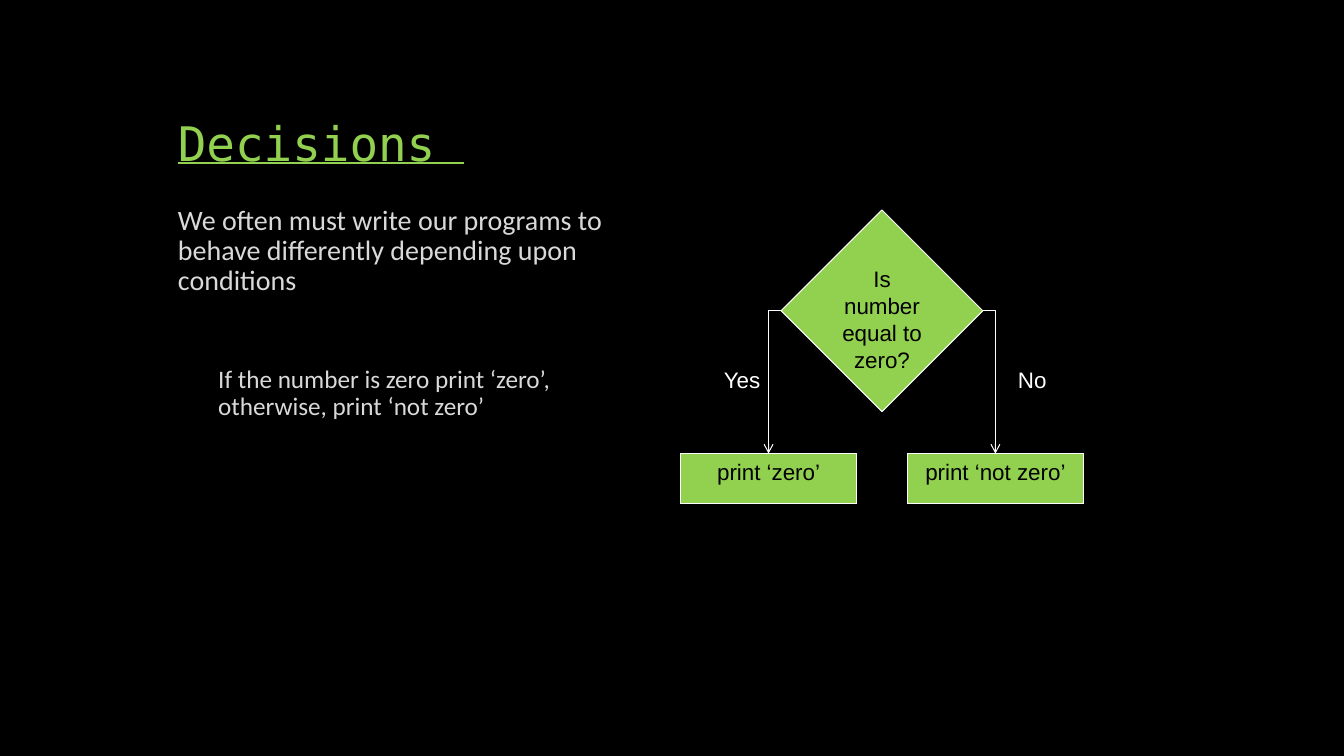
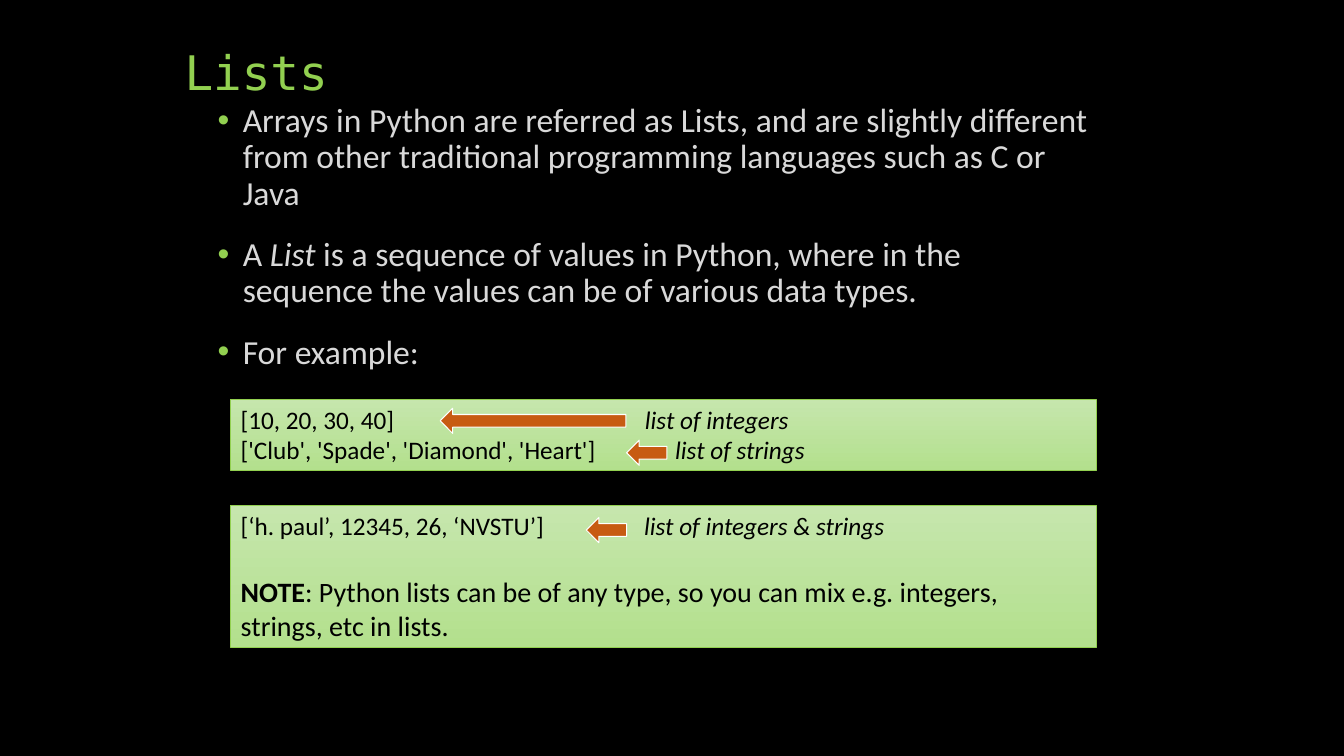
from dataclasses import dataclass

from lxml import etree
from pptx import Presentation
from pptx.dml.color import RGBColor
from pptx.enum.shapes import MSO_CONNECTOR, MSO_SHAPE
from pptx.enum.text import MSO_ANCHOR, PP_ALIGN
from pptx.oxml.ns import qn
from pptx.util import Inches, Pt

RECTANGLE, DIAMOND, LEFT_ARROW = MSO_SHAPE.RECTANGLE, MSO_SHAPE.DIAMOND, MSO_SHAPE.LEFT_ARROW
ELBOW = MSO_CONNECTOR.ELBOW
TOP, BOTTOM = MSO_ANCHOR.TOP, MSO_ANCHOR.BOTTOM
LEFT, CENTER = PP_ALIGN.LEFT, PP_ALIGN.CENTER

ROWS = 90
SLIDE_WIDTH, SLIDE_HEIGHT = Inches(13.333), Inches(7.5)
CELL = SLIDE_HEIGHT / ROWS

BLACK, WHITE, GREEN = "000000", "FFFFFF", "92D050"
PALE, ORANGE = "D9D9D9", "C75B12"
PANEL_TOP, PANEL_BOTTOM = "C6E6AD", "B3E08D"
TITLE_FONT, BODY_FONT, CHART_FONT = "DejaVu Sans Mono", "Calibri", "Arial"


@dataclass(frozen=True)
class Box:
    column: float
    row: float
    columns: float
    rows: float

    def lengths(self) -> list[int]:
        return [cells(n) for n in (self.column, self.row, self.columns, self.rows)]


@dataclass(frozen=True)
class Run:
    text: str
    bold: bool = False
    italic: bool = False
    underline: bool = False


@dataclass(frozen=True)
class Paragraph:
    runs: tuple[Run, ...]
    size: float
    before: float = 0
    spacing: float = 1.0
    indent: float = 0
    bullet: bool = False


@dataclass(frozen=True)
class Branch:
    label: str
    label_box: Box
    action: str
    action_column: float
    diamond_side: int


@dataclass(frozen=True)
class Panel:
    box: Box
    paragraphs: tuple[Paragraph, ...]


@dataclass(frozen=True)
class Meaning:
    text: str
    text_box: Box
    arrow_box: Box


BRANCHES = (
    Branch("Yes", Box(85, 43, 6.84, 4.44), "print ‘zero’", 81, 1),
    Branch("No", Box(120, 43, 5.88, 4.44), "print ‘not zero’", 108, 3),
)
PANELS = (
    Panel(Box(27.48, 47.5, 103, 8.5), (
        Paragraph((Run("[10, 20, 30, 40]"),), 18),
        Paragraph((Run("['Club', 'Spade', 'Diamond', 'Heart']"),), 18),
    )),
    Panel(Box(27.48, 60.15, 103, 16.9), (
        Paragraph((Run("[‘h. paul’, 12345, 26, ‘NVSTU’]"),), 18),
        Paragraph((
            Run("NOTE", bold=True),
            Run(": Python lists can be of any type, so you can mix e.g. integers, "
                "strings, etc in lists."),
        ), 20, before=24.4),
    )),
)
MEANINGS = (
    Meaning("list of integers", Box(75.6, 47.5, 40, 4.8), Box(52.4, 48.6, 22.1, 3)),
    Meaning("list of strings", Box(79.2, 51.1, 40, 4.8), Box(74.6, 52.4, 4.8, 3)),
    Meaning("list of integers & strings", Box(75.5, 60.15, 40, 4.8), Box(69.8, 61.6, 4.8, 3)),
)


def cells(count: float) -> int:
    return round(count * CELL)


def rgb(color: str) -> RGBColor:
    return RGBColor.from_string(color)


def write_text(shape, paragraphs, *, font=BODY_FONT, color=BLACK, align=LEFT,
               anchor=TOP, wrap=True) -> None:
    frame = shape.text_frame
    frame.word_wrap = wrap
    frame.vertical_anchor = anchor
    for index, item in enumerate(paragraphs):
        paragraph = frame.add_paragraph() if index else frame.paragraphs[0]
        paragraph.alignment = align
        paragraph.line_spacing = item.spacing
        paragraph.space_before = Pt(item.before)
        properties = paragraph._p.get_or_add_pPr()
        properties.set("marL", str(cells(item.indent)))
        properties.set("indent", str(-cells(item.indent) if item.bullet else 0))
        if item.bullet:
            bullet_color = etree.SubElement(properties, qn("a:buClr"))
            etree.SubElement(bullet_color, qn("a:srgbClr"), val=GREEN)
            etree.SubElement(properties, qn("a:buFont"), typeface="Arial")
            etree.SubElement(properties, qn("a:buChar"), char="•")
        for part in item.runs:
            run = paragraph.add_run()
            run.text = part.text
            run.font.name = font
            run.font.size = Pt(item.size)
            run.font.color.rgb = rgb(color)
            run.font.bold = part.bold
            run.font.italic = part.italic
            run.font.underline = part.underline


def add_text(slide, box: Box, paragraphs, **text_format) -> None:
    shape = slide.shapes.add_textbox(*box.lengths())
    write_text(shape, paragraphs, **text_format)


def add_figure(slide, kind, box: Box, fill: str, line: str = WHITE, weight: float = 0.75):
    shape = slide.shapes.add_shape(kind, *box.lengths())
    shape.shadow.inherit = False
    shape.fill.solid()
    shape.fill.fore_color.rgb = rgb(fill)
    shape.line.color.rgb = rgb(line)
    shape.line.width = Pt(weight)
    return shape


def add_flow_node(slide, kind, box: Box, text: str):
    shape = add_figure(slide, kind, box, GREEN)
    write_text(shape, [Paragraph((Run(text),), 16)], font=CHART_FONT, align=CENTER)
    return shape


def add_flow_arrow(slide, source, source_side: int, target) -> None:
    connector = slide.shapes.add_connector(ELBOW, 0, 0, 0, 0)
    connector.begin_connect(source, source_side)
    connector.end_connect(target, 0)
    connector.line.color.rgb = rgb(WHITE)
    connector.line.width = Pt(0.75)
    properties = connector._element.spPr
    properties.find(qn("a:prstGeom")).set("prst", "bentConnector2")
    etree.SubElement(connector.line._get_or_add_ln(), qn("a:tailEnd"), type="arrow")
    etree.SubElement(properties, qn("a:effectLst"))


def add_panel(slide, panel: Panel) -> None:
    shape = add_figure(slide, RECTANGLE, panel.box, PANEL_TOP, GREEN, 0.5)
    shape.fill.gradient()
    shape.fill.gradient_angle = 270
    for stop, color in zip(shape.fill.gradient_stops, (PANEL_TOP, PANEL_BOTTOM)):
        stop.color.rgb = rgb(color)
    write_text(shape, panel.paragraphs)


def add_titled_slide(presentation, title: Run, column: float, row: float):
    slide = presentation.slides.add_slide(presentation.slide_layouts[6])
    slide.background.fill.solid()
    slide.background.fill.fore_color.rgb = rgb(BLACK)
    add_text(slide, Box(column, row, 120, 15), [Paragraph((title,), 34, spacing=0.9)],
             font=TITLE_FONT, color=GREEN, anchor=BOTTOM)
    return slide


def add_decisions_slide(presentation) -> None:
    slide = add_titled_slide(presentation, Run("Decisions ", underline=True), 20, 6)
    add_text(slide, Box(20, 23.95, 57, 56), [
        Paragraph((Run("We often must write our programs to behave differently "
                       "depending upon conditions"),), 20, before=18, spacing=0.9),
        Paragraph((Run("If the number is zero print ‘zero’, otherwise, "
                       "print ‘not zero’"),), 18, before=50, spacing=0.9, indent=4.8),
    ], color=PALE)
    question = add_flow_node(slide, DIAMOND, Box(93, 25, 24, 24), "Is number equal to zero?")
    for branch in BRANCHES:
        action = add_flow_node(slide, RECTANGLE, Box(branch.action_column, 54, 21, 6),
                               branch.action)
        add_flow_arrow(slide, question, branch.diamond_side, action)
        add_text(slide, branch.label_box, [Paragraph((Run(branch.label),), 16)],
                 font=CHART_FONT, color=WHITE, wrap=False)


def add_lists_slide(presentation) -> None:
    slide = add_titled_slide(presentation, Run("Lists"), 20.8, -2.4)
    points = (
        (Run("Arrays in Python are referred as Lists, and are slightly different from "
             "other traditional programming languages such as C or Java"),),
        (Run("A "), Run("List", italic=True),
         Run(" is a sequence of values in Python, where in the sequence the values "
             "can be of various data types.")),
        (Run("For example:"),),
    )
    add_text(slide, Box(24.72, 11.72, 107.2, 59.4), [
        Paragraph(runs, 24, before=18, spacing=0.9, indent=3, bullet=True)
        for runs in points
    ], color=PALE)
    for panel in PANELS:
        add_panel(slide, panel)
    for meaning in MEANINGS:
        add_figure(slide, LEFT_ARROW, meaning.arrow_box, ORANGE)
        add_text(slide, meaning.text_box,
                 [Paragraph((Run(meaning.text, italic=True),), 18)])


def main() -> None:
    presentation = Presentation()
    presentation.slide_width = SLIDE_WIDTH
    presentation.slide_height = SLIDE_HEIGHT
    add_decisions_slide(presentation)
    add_lists_slide(presentation)
    presentation.save("out.pptx")


if __name__ == "__main__":
    main()
